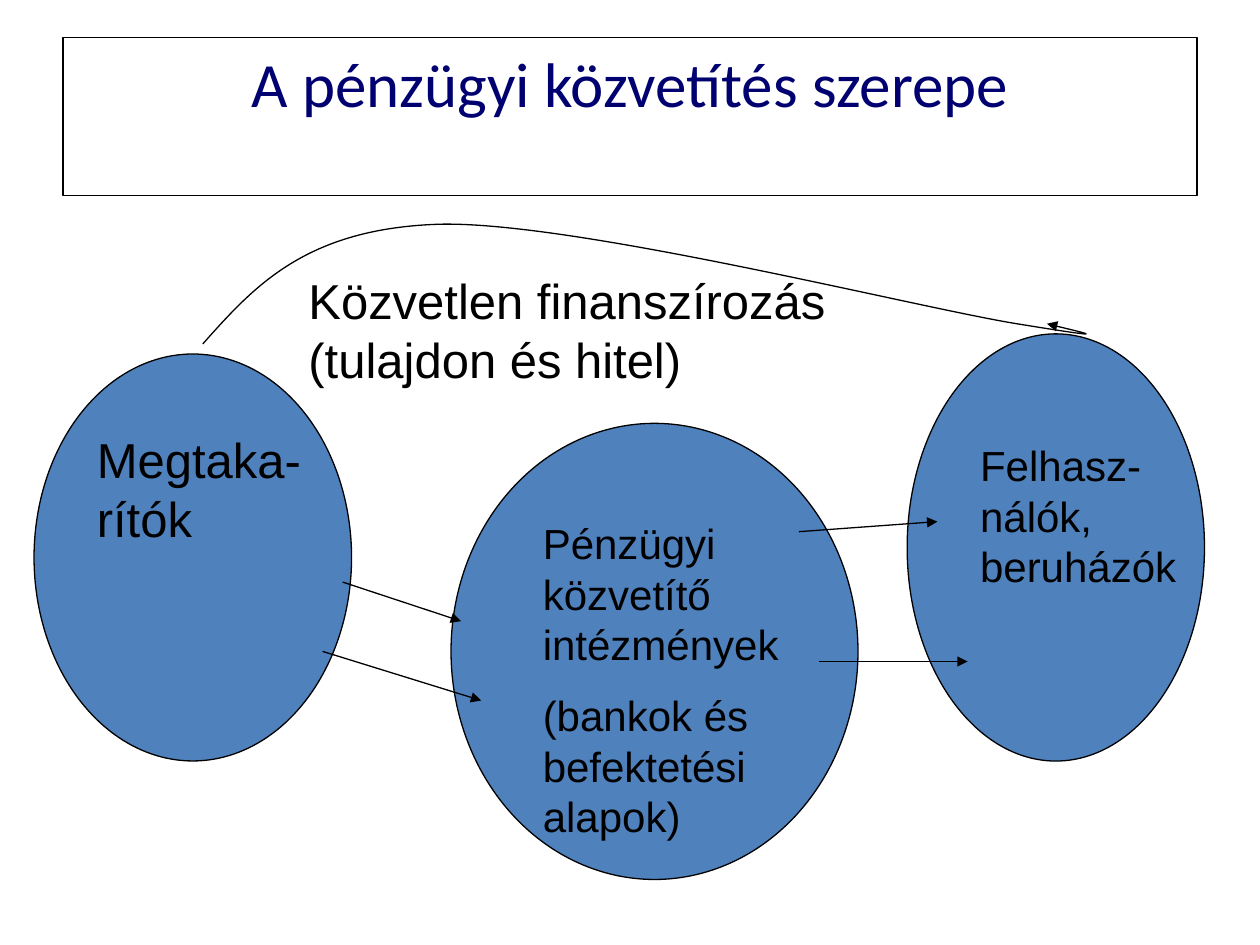
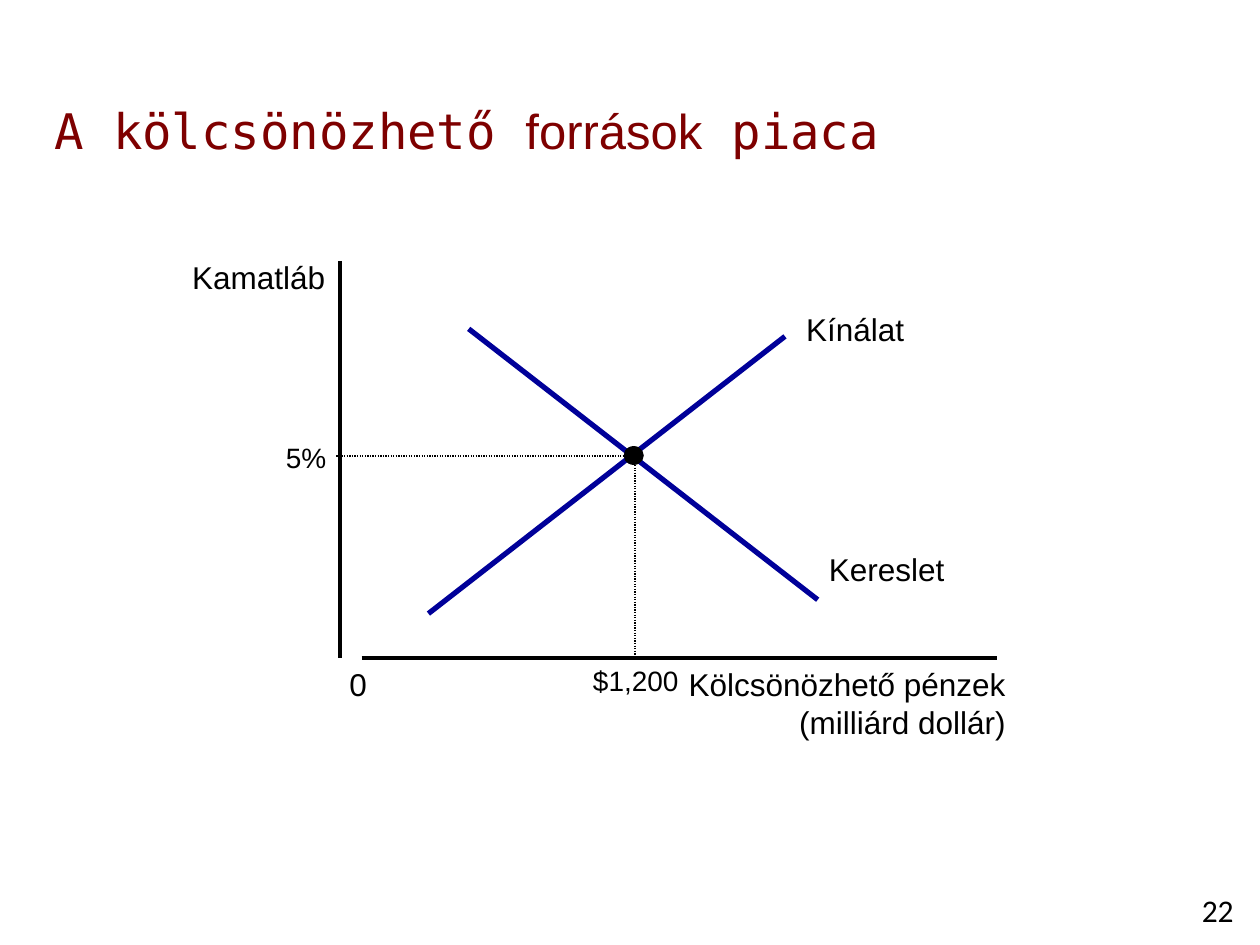
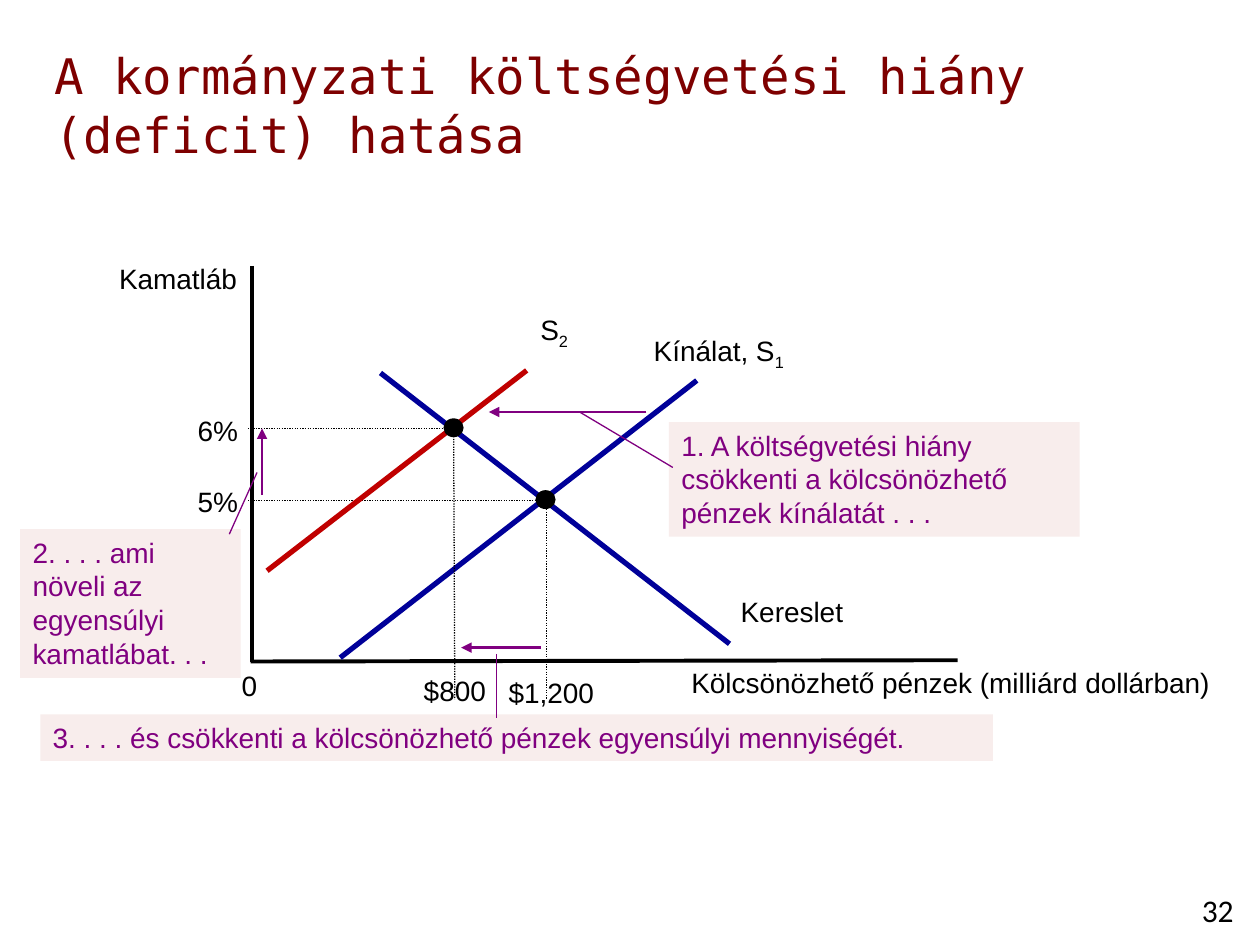
from lxml import etree
from pptx import Presentation, util as u
from pptx.dml.color import RGBColor
from pptx.enum import dml, shapes, text
from pptx.oxml import ns

COLORS = {
    "black": "000000", "white": "FFFFFF", "navy": "000070", "maroon": "7E0000",
    "oval": "4F81BD", "curve": "000099", "shifted": "C00000",
    "note": "800080", "note_fill": "F8EDEC",
}
MONO = "DejaVu Sans Mono"
LEFT, CENTER, RIGHT = text.PP_ALIGN.LEFT, text.PP_ALIGN.CENTER, text.PP_ALIGN.RIGHT

# Slide 1: financial intermediation
OVALS = [(0.27, 2.81, 2.52, 3.23), (7.2, 2.65, 2.36, 3.39), (3.58, 3.36, 3.23, 3.62)]
DIRECT_FLOW = [
    (1.61, 2.73),
    (2.02, 2.27), (2.43, 1.81), (3.5, 1.78),
    (4.58, 1.76), (7.27, 2.44), (8.07, 2.57),
    (8.87, 2.7), (8.59, 2.64), (8.31, 2.57),
]
ROLES = [
    (["Megtaka-rítók"], (0.67, 3.36, 2.05, 1.03), 28),
    (["Felhasz-nálók, beruházók"], (7.68, 3.44, 1.89, 1.3), 24),
    (["Közvetlen finanszírozás\n(tulajdon és hitel)"], (2.35, 2.1, 4.86, 1.04), 28),
    (["Pénzügyi közvetítő intézmények", "(bankok és befektetési alapok)"],
     (4.21, 4.06, 2.36, 2.73), 24),
]
FLOWS = [(2.72, 4.62, 3.66, 4.93), (2.56, 5.17, 3.82, 5.56),
         (6.34, 4.22, 7.44, 4.14), (6.5, 5.25, 7.68, 5.25)]

# Market diagram that slides 2 and 3 share, in slide 2 coordinates
SUPPLY, DEMAND = (3.4, 4.87, 6.23, 2.67), (3.72, 2.61, 6.49, 4.76)
GUIDES = [(2.67, 3.62, 5.05, 3.62), (5.04, 3.67, 5.04, 5.2)]
BALANCE = (4.95, 3.54)
RATE_LABEL = (2.17, 3.45, 0.53, 0.37)

# Labels: paragraphs, box, size, alignment, wrap ("_" starts a subscript)
MARKET_AXES = [(2.7, 2.07, 2.7, 5.22), (2.87, 5.22, 7.91, 5.22)]
MARKET_LABELS = [
    (["Kamatláb"], (1.41, 2, 1.27, 0.4), 18, RIGHT, False),
    (["Kölcsönözhető pénzek", "(milliárd dollár)"], (5.34, 5.23, 2.74, 0.71), 18, RIGHT, False),
    (["0"], (2.67, 5.23, 0.34, 0.4), 18, RIGHT, False),
    (["Kínálat"], (6.3, 2.41, 1.06, 0.4), 18, LEFT, True),
    (["Kereslet"], (6.48, 4.32, 1.13, 0.4), 18, LEFT, False),
    (["$1,200"], (4.6, 5.22, 0.89, 0.37), 16, CENTER, False),
]

# Slide 3: effect of the deficit
DEFICIT_AXES = [(2, 2.11, 2, 5.25), (1.99, 5.25, 7.6, 5.24)]
DEFICIT_LABELS = [
    (["Kamatláb"], (0.83, 2.03, 1.15, 0.37), 16, RIGHT, False),
    (["Kölcsönözhető pénzek (milliárd dollárban)"], (4.79, 5.23, 4.91, 0.37), 16, RIGHT, True),
    (["0"], (1.81, 5.26, 0.33, 0.37), 16, RIGHT, False),
    (["Kínálat, S_1"], (5.09, 2.6, 1.26, 0.37), 16, LEFT, False),
    (["S_2"], (4.19, 2.43, 0.43, 0.37), 16, LEFT, False),
    (["Kereslet"], (5.78, 4.67, 1.02, 0.37), 16, LEFT, False),
    (["$1,200"], (3.93, 5.31, 0.89, 0.37), 16, CENTER, False),
    (["6%"], (1.47, 3.23, 0.53, 0.37), 16, LEFT, False),
    (["$800"], (3.26, 5.3, 0.7, 0.37), 16, CENTER, False),
]
SHIFTED_SUPPLY = (2.12, 4.53, 4.18, 2.94)
SHIFTED_GUIDES = [(1.97, 3.4, 3.6, 3.4), (3.6, 3.38, 3.61, 5.55)]
SHIFTED_BALANCE = (3.52, 3.32)
# Notes: text, box, arrow, leader
NOTES = [
    ("1. A költségvetési hiány csökkenti a kölcsönözhető pénzek kínálatát . . .",
     (5.31, 3.35, 3.26, 0.91), (5.13, 3.27, 3.88, 3.27), (4.6, 3.27, 5.34, 3.71)),
    ("3. . . . és csökkenti a kölcsönözhető pénzek egyensúlyi mennyiségét.",
     (0.32, 5.67, 7.56, 0.37), (4.29, 5.14, 3.66, 5.14), (3.94, 5.19, 3.94, 5.7)),
    ("2. . . . ami növeli az egyensúlyi kamatlábat. . .",
     (0.16, 4.2, 1.75, 1.18), (2.08, 3.93, 2.08, 3.4), (2.04, 3.75, 1.82, 4.24)),
]


def rgb(name):
    return RGBColor.from_string(COLORS[name])


def inches(values):
    return [u.Inches(value) for value in values]


def shift(values, dx, dy):
    return [value + (dy if i % 2 else dx) for i, value in enumerate(values)]


def fill(shape, color):
    shape.fill.solid()
    shape.fill.fore_color.rgb = rgb(color)


def add_span(para, words, color, **font):
    span = para.add_run()
    span.text = words
    span.font.color.rgb = rgb(color)
    for name, value in font.items():
        setattr(span.font, name, value)
    return span


def style_line(shape, color="black", width=0.75, dotted=False, arrow=False):
    shape.line.color.rgb = rgb(color)
    shape.line.width = u.Pt(width)
    if dotted:
        shape.line.dash_style = dml.MSO_LINE.ROUND_DOT
    if arrow:
        etree.SubElement(shape.line._get_or_add_ln(), ns.qn("a:tailEnd"), type="triangle")


def add_line(page, ends, **style):
    line = page.shapes.add_connector(shapes.MSO_CONNECTOR.STRAIGHT, *inches(ends))
    style_line(line, **style)
    etree.SubElement(line._element.spPr, ns.qn("a:effectLst"))


def add_oval(page, box, color):
    oval = page.shapes.add_shape(shapes.MSO_SHAPE.OVAL, *inches(box))
    oval.shadow.inherit = False
    fill(oval, color)
    return oval


def add_dot(page, corner):
    add_oval(page, (*corner, 0.16, 0.15), "black").line.fill.background()


def add_text(page, paragraphs, box, size, align=LEFT, wrap=True, color="black",
             face="Arial", gap=0):
    label = page.shapes.add_textbox(*inches(box))
    frame = label.text_frame
    frame.word_wrap = wrap
    frame.auto_size = text.MSO_AUTO_SIZE.SHAPE_TO_FIT_TEXT
    font = {"size": u.Pt(size), "name": face}
    for i, words in enumerate(paragraphs):
        para = frame.paragraphs[0] if i == 0 else frame.add_paragraph()
        para.alignment = align
        if i and gap:
            para.space_before = u.Pt(gap)
        for j, row in enumerate(words.split("\n")):
            if j:
                para.add_line_break()
            base, _, subscript = row.partition("_")
            add_span(para, base, color, **font)
            if subscript:
                span = add_span(para, subscript, color, **font)
                span.font._element.set("baseline", "-25000")
    return label


def add_page(deck, title_spans, box, size=28, color="maroon", align=LEFT, number=None):
    page = deck.slides.add_slide(deck.slide_layouts[5])
    title = page.shapes.title
    title.left, title.top, title.width, title.height = inches(box)
    frame = title.text_frame
    settings = {"word_wrap": True, "auto_size": text.MSO_AUTO_SIZE.NONE,
                "vertical_anchor": text.MSO_ANCHOR.TOP}
    for name, value in settings.items():
        setattr(frame, name, value)
    para = frame.paragraphs[0]
    para.alignment = align
    for words, face in title_spans:
        add_span(para, words, color, size=u.Pt(size), name=face)
    if number:
        add_text(page, [number], (9.33, 7.02, 0.67, 0.4), 18, CENTER, face="Calibri")
    return page


def add_curve(page, points):
    """Cubic curve: a start point, then three points for each segment."""
    builder = page.shapes.build_freeform(*inches(points[0]), scale=1.0)
    builder.add_line_segments([inches(point) for point in points[1:]], close=False)
    curve = builder.convert_to_shape()
    curve.shadow.inherit = False
    curve.fill.background()
    style_line(curve, arrow=True)
    outline = next(curve._element.iter(ns.qn("a:path")))
    steps = outline.findall(ns.qn("a:lnTo"))
    for first in range(0, len(steps), 3):
        bend = etree.SubElement(outline, ns.qn("a:cubicBezTo"))
        for step in steps[first:first + 3]:
            bend.append(step[0])
            outline.remove(step)


def add_market(page, axes, labels, dx=0, dy=0):
    for axis in axes:
        add_line(page, axis, width=2.25)
    for curve in (SUPPLY, DEMAND):
        add_line(page, shift(curve, dx, dy), color="curve", width=3)
    for guide in GUIDES:
        add_line(page, shift(guide, dx, dy), dotted=True)
    add_dot(page, shift(BALANCE, dx, dy))
    rate_box = shift(RATE_LABEL[:2], dx, dy) + list(RATE_LABEL[2:])
    add_text(page, ["5%"], rate_box, 16, wrap=False)
    for label in labels:
        add_text(page, *label)


def build_roles(deck):
    page = add_page(deck, [("A pénzügyi közvetítés szerepe", "Calibri")],
                    (0.5, 0.3, 9, 1.25), 36, "navy", CENTER)
    fill(page.shapes.title, "white")
    style_line(page.shapes.title)
    for box in OVALS:
        style_line(add_oval(page, box, "oval"))
    add_curve(page, DIRECT_FLOW)
    for role in ROLES:
        add_text(page, *role, gap=12)
    for flow in FLOWS:
        add_line(page, flow, arrow=True)


def build_market(deck):
    spans = [("A kölcsönözhető ", MONO), ("források", "Arial"), (" piaca", MONO)]
    page = add_page(deck, spans, (0.33, 0.75, 9.67, 0.58), number="22")
    add_market(page, MARKET_AXES, MARKET_LABELS)


def build_deficit(deck):
    spans = [("A kormányzati költségvetési hiány (deficit) hatása", MONO)]
    page = add_page(deck, spans, (0.33, 0.31, 9.67, 0.58), number="32")
    add_market(page, DEFICIT_AXES, DEFICIT_LABELS, -0.7, 0.35)
    add_line(page, SHIFTED_SUPPLY, color="shifted", width=3)
    for guide in SHIFTED_GUIDES:
        add_line(page, guide, dotted=True)
    add_dot(page, SHIFTED_BALANCE)
    for words, box, arrow, leader in NOTES:
        add_line(page, arrow, color="note", width=1.5, arrow=True)
        fill(add_text(page, [words], box, 16, color="note"), "note_fill")
        add_line(page, leader, color="note")


def main():
    deck = Presentation()
    deck.slide_width, deck.slide_height = inches((10, 7.5))
    build_roles(deck)
    build_market(deck)
    build_deficit(deck)
    deck.save("out.pptx")


if __name__ == "__main__":
    main()
